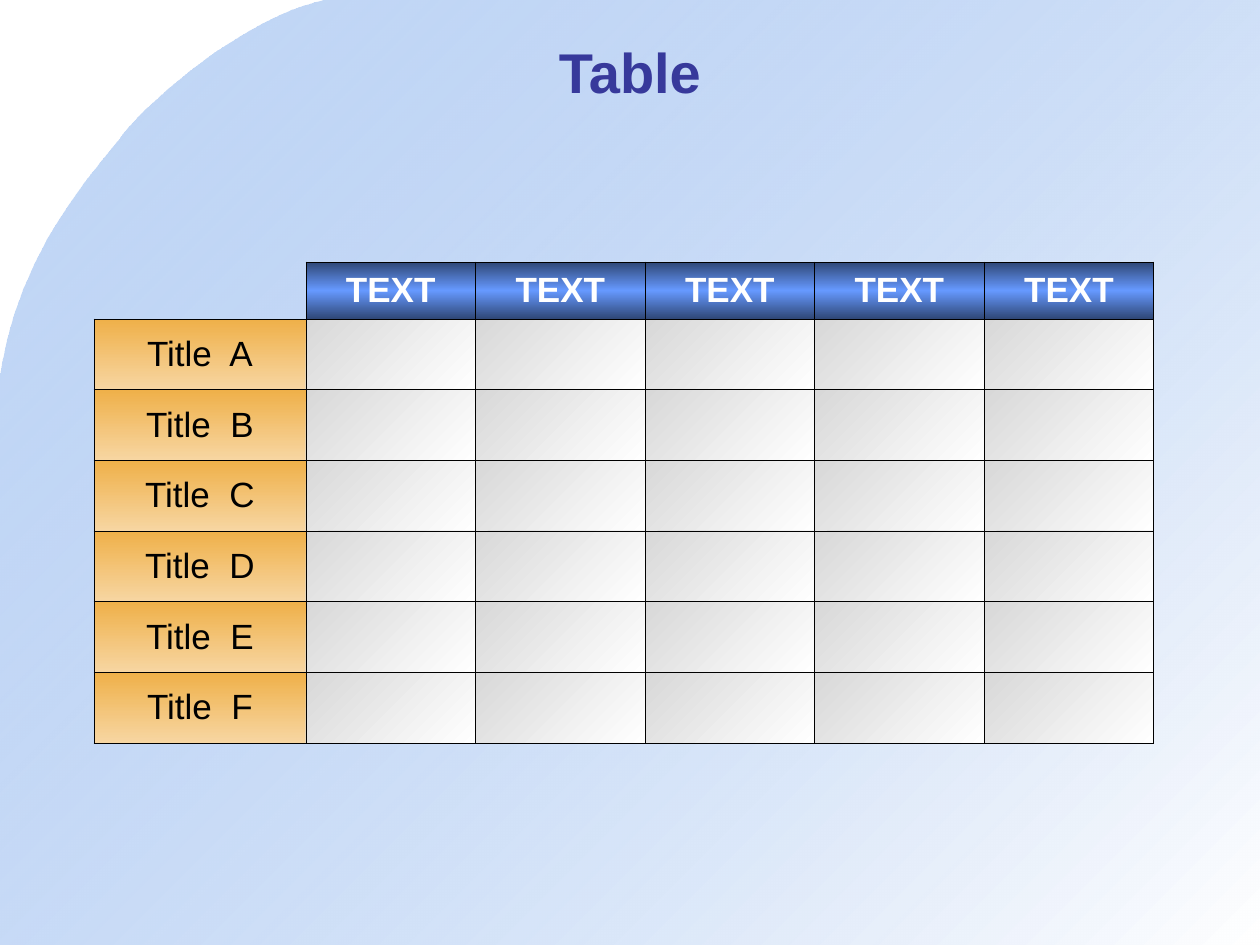
from dataclasses import dataclass

from lxml.etree import SubElement
from pptx import Presentation
from pptx.dml.color import RGBColor
from pptx.enum.text import MSO_ANCHOR as Anchor, PP_ALIGN as Align
from pptx.oxml import parse_xml
from pptx.oxml.ns import nsdecls, qn
from pptx.util import Emu, Pt

EMU_PER_PX = 914400 / 126
SLIDE_BOX = (0, 0, 1260, 945)
TITLE_BOX = (63, 32, 1134, 79)
GRID_BOX = (94, 262, 1060, 481)
LABEL_WIDTH, HEADER_HEIGHT = 212, 57
HEADERS = ["TEXT"] * 5
ROW_TITLES = [f"Title  {letter}" for letter in "ABCDEF"]


@dataclass(frozen=True)
class Theme:
    """Colours, gradients (angle and stops) and type sizes of the slide."""
    font: str = "Arial"
    title_size: int = 32
    cell_size: int = 20
    space_before: int = 5
    border_width: float = 0.45
    title: str = "37399B"
    header_text: str = "FFFFFF"
    label_text: str = "000000"
    border: str = "000000"
    backdrop: tuple = (45, ((0, "699DE9", 39), (100, "FFFFFF", 100)))
    header: tuple = (90, ((0, "2F4776", 100), (50, "6699FF", 100), (100, "2F4776", 100)))
    label: tuple = (90, ((0, "EFB049", 100), (100, "F7D6A2", 100)))
    body: tuple = (45, ((0, "D8D8D8", 100), (100, "FFFFFF", 100)))


THEME = Theme()


def px(length):
    """Turn pixels into EMU."""
    return Emu(round(length * EMU_PER_PX))


def gradient(angle, stops):
    """Return a linear gradient fill element."""
    marks = "".join(
        f'<a:gs pos="{pos * 1000}"><a:srgbClr val="{colour}">'
        f'<a:alpha val="{alpha * 1000}"/></a:srgbClr></a:gs>'
        for pos, colour, alpha in stops)
    return parse_xml(
        f'<a:gradFill {nsdecls("a")} rotWithShape="1"><a:gsLst>{marks}</a:gsLst>'
        f'<a:lin ang="{angle * 60000}" scaled="0"/></a:gradFill>')


def write(frame, words, size, colour, bold, space_before=0):
    """Write one centred paragraph into a text frame."""
    paragraph = frame.paragraphs[0]
    paragraph.alignment = Align.CENTER
    paragraph.space_before = Pt(space_before)
    run = paragraph.add_run()
    run.text = words
    formats = {"name": THEME.font, "size": Pt(size), "bold": bold}
    for name, value in formats.items():
        setattr(run.font, name, value)
    run.font.color.rgb = RGBColor.from_string(colour)


def bezier(start, first, second, end, steps=24):
    """Return points along a cubic curve, without its start."""
    points = []
    for step in range(1, steps + 1):
        t = step / steps
        weights = ((1 - t) ** 3, 3 * t * (1 - t) ** 2, 3 * t * t * (1 - t), t ** 3)
        points.append(tuple(
            sum(weight * value for weight, value in zip(weights, axis))
            for axis in zip(start, first, second, end)))
    return points


def add_backdrop(slide, box):
    """Draw the gradient panel with its curved top left corner."""
    left, top, width, height = box
    start, middle, end = (325, 0), (123, 135), (0, 379)
    outline = [
        *bezier(start, (239, 20), (146, 105), middle),
        *bezier(middle, (101, 166), (20, 244), end),
        (0, height), (width, height), (width, 0)]
    builder = slide.shapes.build_freeform(px(left + start[0]), px(top + start[1]))
    builder.add_line_segments([(px(left + x), px(top + y)) for x, y in outline], close=True)
    panel = builder.convert_to_shape()
    panel.shadow.inherit = False
    panel.line.fill.background()
    panel.fill.background()
    properties = panel.fill._xPr
    properties.replace(properties.find(qn("a:noFill")), gradient(*THEME.backdrop))


def add_title(slide, box):
    """Place the slide title."""
    frame = slide.shapes.add_textbox(*map(px, box)).text_frame
    formats = {"word_wrap": True, "vertical_anchor": Anchor.MIDDLE}
    for name, value in formats.items():
        setattr(frame, name, value)
    write(frame, "Table", THEME.title_size, THEME.title, True)


def style_cell(cell, sides, fill=None):
    """Give a cell borders on some sides and a gradient, or no fill."""
    properties = cell._tc.get_or_add_tcPr()
    for side in "LRTB":
        line = SubElement(properties, qn(f"a:ln{side}"), w=str(Pt(THEME.border_width)))
        if side in sides:
            solid = SubElement(line, qn("a:solidFill"))
            SubElement(solid, qn("a:srgbClr"), val=THEME.border)
        else:
            SubElement(line, qn("a:noFill"))
    if fill:
        properties.append(gradient(*fill))
    else:
        SubElement(properties, qn("a:noFill"))


def add_grid(slide, box):
    """Place the table with header row and title column."""
    _, _, width, height = box
    table = slide.shapes.add_table(
        len(ROW_TITLES) + 1, len(HEADERS) + 1, *map(px, box)).table
    for name, value in {"first_row": False, "horz_banding": False}.items():
        setattr(table, name, value)
    for index, column in enumerate(table.columns):
        column.width = px((width - LABEL_WIDTH) / len(HEADERS) if index else LABEL_WIDTH)
    for index, row in enumerate(table.rows):
        row.height = px((height - HEADER_HEIGHT) / len(ROW_TITLES) if index else HEADER_HEIGHT)

    style_cell(table.cell(0, 0), "RB")
    headers = [(table.cell(0, i), words) for i, words in enumerate(HEADERS, 1)]
    labels = [(table.cell(i, 0), words) for i, words in enumerate(ROW_TITLES, 1)]
    for cells, fill, colour, bold in (
            (headers, THEME.header, THEME.header_text, True),
            (labels, THEME.label, THEME.label_text, False)):
        for cell, words in cells:
            cell.vertical_anchor = Anchor.MIDDLE
            write(cell.text_frame, words, THEME.cell_size, colour, bold, THEME.space_before)
            style_cell(cell, "LRTB", fill)
    for row in range(1, len(ROW_TITLES) + 1):
        for column in range(1, len(HEADERS) + 1):
            style_cell(table.cell(row, column), "LRTB", THEME.body)


def main():
    """Build the slide and save it."""
    deck = Presentation()
    deck.slide_width, deck.slide_height = map(px, SLIDE_BOX[2:])
    slide = deck.slides.add_slide(deck.slide_layouts[6])
    add_backdrop(slide, SLIDE_BOX)
    add_title(slide, TITLE_BOX)
    add_grid(slide, GRID_BOX)
    deck.save("out.pptx")


if __name__ == "__main__":
    main()
